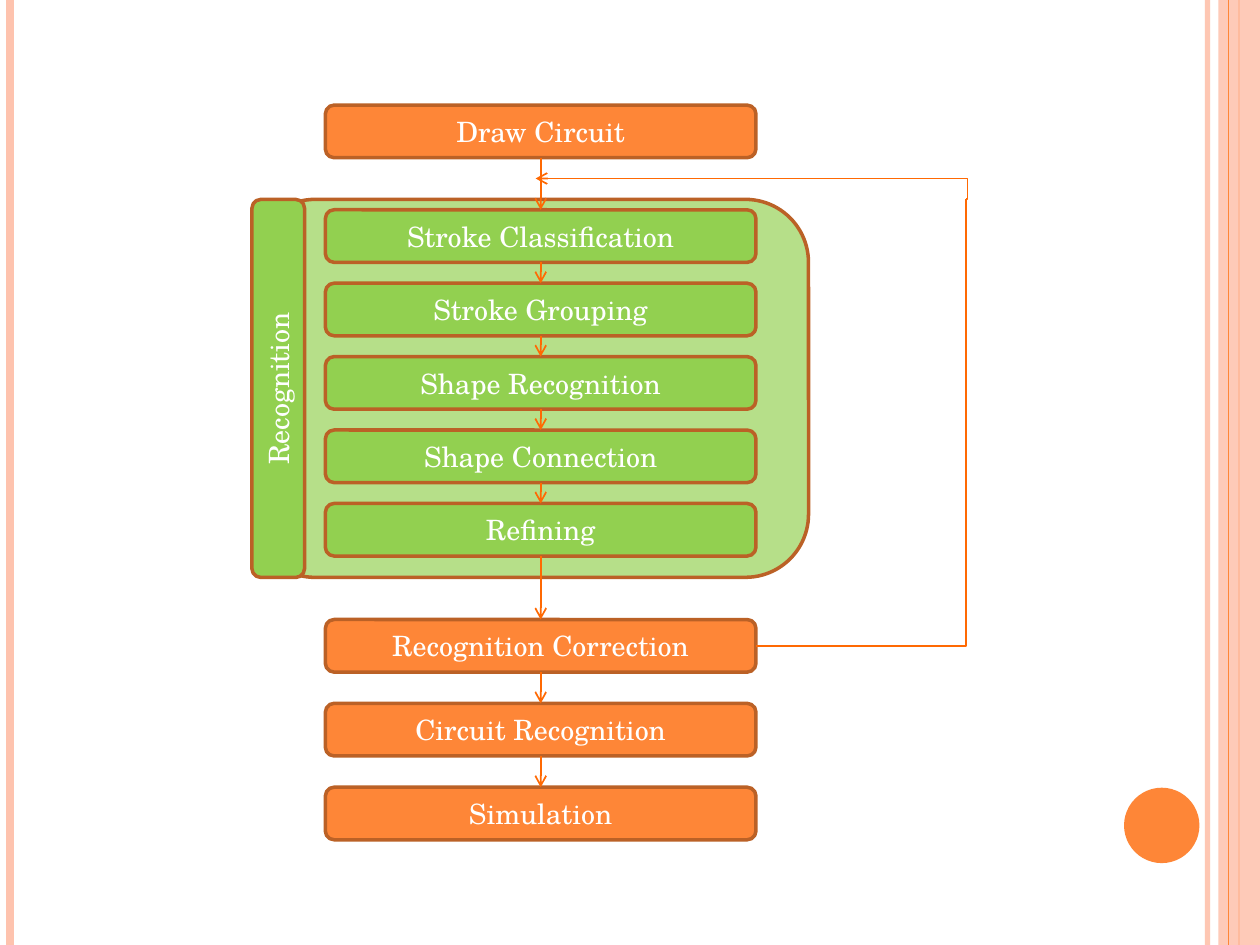
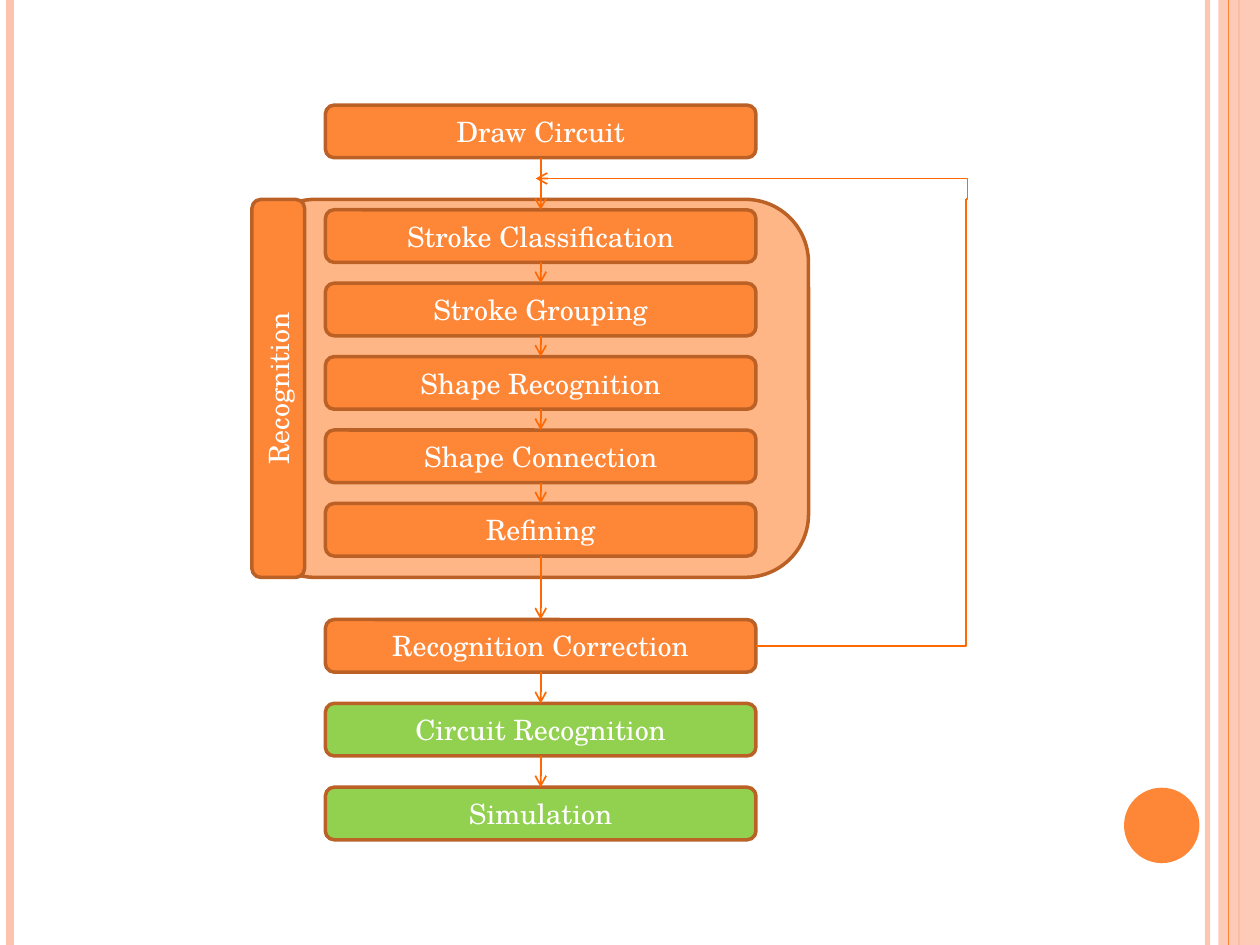
import dataclasses

import lxml.etree
import pptx
import pptx.dml.color
import pptx.enum.shapes
import pptx.enum.text
import pptx.oxml.ns
import pptx.util

Cm = pptx.util.Cm
Pt = pptx.util.Pt
qn = pptx.oxml.ns.qn
SHAPE = pptx.enum.shapes.MSO_SHAPE
CONNECTOR = pptx.enum.shapes.MSO_CONNECTOR

COLORS = {
    "orange": "FE8637",
    "pale_orange": "FEB687",
    "green": "92D050",
    "pale_green": "B6DF89",
    "outline": "BB6126",
    "arrow": "FF6903",
    "band": "FEC3AE",
    "text": "FFFFFF",
}
FONT_FORMAT = {"name": "TeX Gyre Schola", "size": Pt(16)}
FRAME_FORMAT = {"word_wrap": True, "vertical_anchor": pptx.enum.text.MSO_ANCHOR.MIDDLE}

SLIDE_W, SLIDE_H = 25.4, 19.05
BOX_LEFT, BOX_W, BOX_H = 6.56, 8.68, 1.06
PANEL_LEFT, PANEL_TOP, PANEL_W, PANEL_H = 5.08, 4.02, 11.22, 7.62
DRAW_TOP = 2.12
INNER_TOP, INNER_STEP = 4.23, 1.48
OUTER_TOP, OUTER_STEP = 12.49, 1.69
LOOP_X, LOOP_Y, LOOP_END_X = 19.48, 3.6, 10.8

INNER_STEPS = [
    "Stroke Classification",
    "Stroke Grouping",
    "Shape Recognition",
    "Shape Connection",
    "Refining",
]
OUTER_STEPS = ["Recognition Correction", "Circuit Recognition", "Simulation"]


@dataclasses.dataclass
class Rule:
    x: float
    color: str
    width: float
    alpha: int = 100


@dataclasses.dataclass
class Box:
    left: float
    top: float
    width: float
    height: float
    fill: str
    text: str = ""
    rotation: float = 0


@dataclasses.dataclass
class Scheme:
    panel: str
    recognition: str
    final: str


RULES_BELOW = [
    Rule(24.34, "band", 3, 93),
    Rule(0.21, "band", 4.5),
    Rule(24.98, "orange", 1.5),
]
RULE_ABOVE = Rule(24.77, "orange", 0.75)
SCHEMES = [
    Scheme("pale_green", "green", "orange"),
    Scheme("pale_orange", "orange", "green"),
]


def rgb(name: str) -> pptx.dml.color.RGBColor:
    return pptx.dml.color.RGBColor.from_string(COLORS[name])


def apply_format(target, values: dict) -> None:
    for name, value in values.items():
        setattr(target, name, value)


def set_alpha(element, percent: int) -> None:
    color = next(element.iter(qn("a:srgbClr")))
    lxml.etree.SubElement(color, qn("a:alpha"), val=str(percent * 1000))


def add_plain(slide, kind, left: float, top: float, width: float, height: float, fill: str):
    sp = slide.shapes.add_shape(kind, Cm(left), Cm(top), Cm(width), Cm(height))
    sp.shadow.inherit = False
    sp.fill.solid()
    sp.fill.fore_color.rgb = rgb(fill)
    sp.line.fill.background()
    return sp


def add_line(slide, kind, start: tuple, end: tuple, color: str, width: float, arrow: bool = False):
    s = slide.shapes.add_connector(kind, *(Cm(v) for v in start + end))
    s.line.color.rgb = rgb(color)
    s.line.width = Pt(width)
    spPr = s.element.spPr
    if arrow:
        lxml.etree.SubElement(spPr.find(qn("a:ln")), qn("a:tailEnd"), type="arrow")
    lxml.etree.SubElement(spPr, qn("a:effectLst"))
    return s


def add_rule(slide, rule: Rule):
    s = add_line(slide, CONNECTOR.STRAIGHT, (rule.x, 0), (rule.x, SLIDE_H), rule.color, rule.width)
    if rule.alpha < 100:
        set_alpha(s.element.spPr, rule.alpha)
    return s


def decorate_layout(layout, slide) -> None:
    parts = [add_rule(slide, rule) for rule in RULES_BELOW]
    band = add_plain(slide, SHAPE.RECTANGLE, 24.56, 0, 0.84, SLIDE_H, "band")
    set_alpha(band.element.spPr, 87)
    parts += [band, add_rule(slide, RULE_ABOVE)]
    parts.append(add_plain(slide, SHAPE.OVAL, 22.66, 15.88, 1.52, 1.52, "orange"))
    for part in parts:
        layout.shapes.element.append(part.element)


def add_box(slide, box: Box):
    sp = add_plain(slide, SHAPE.ROUNDED_RECTANGLE, box.left, box.top, box.width, box.height, box.fill)
    sp.rotation = box.rotation
    sp.line.color.rgb = rgb("outline")
    sp.line.width = Pt(2)
    if box.text:
        tf = sp.text_frame
        apply_format(tf, FRAME_FORMAT)
        p = tf.paragraphs[0]
        p.alignment = pptx.enum.text.PP_ALIGN.CENTER
        r = p.add_run()
        r.text = box.text
        apply_format(r.font, FONT_FORMAT)
        r.font.color.rgb = rgb("text")
    return sp


def add_step(slide, text: str, top: float, fill: str):
    return add_box(slide, Box(BOX_LEFT, top, BOX_W, BOX_H, fill, text))


def add_loop(slide) -> None:
    corner = (LOOP_X, PANEL_TOP)
    start = (BOX_LEFT + BOX_W, OUTER_TOP + BOX_H / 2)
    rise = add_line(slide, CONNECTOR.ELBOW, start, corner, "arrow", 1)
    rise.element.spPr.find(qn("a:prstGeom")).set("prst", "bentConnector2")
    back = add_line(slide, CONNECTOR.ELBOW, corner, (LOOP_END_X, LOOP_Y), "arrow", 1, True)
    geometry = back.element.spPr.find(qn("a:prstGeom"))
    guides = geometry.find(qn("a:avLst"))
    if guides is None:
        guides = lxml.etree.SubElement(geometry, qn("a:avLst"))
    lxml.etree.SubElement(guides, qn("a:gd"), name="adj1", fmla="val -300")


def draw_flow(slide, scheme: Scheme) -> None:
    add_box(slide, Box(PANEL_LEFT, PANEL_TOP, PANEL_W, PANEL_H, scheme.panel))
    tab_left = PANEL_LEFT + (BOX_H - PANEL_H) / 2
    tab_top = PANEL_TOP + (PANEL_H - BOX_H) / 2
    add_box(slide, Box(tab_left, tab_top, PANEL_H, BOX_H, scheme.recognition, "Recognition", 270))

    steps = [add_step(slide, "Draw Circuit", DRAW_TOP, "orange")]
    for i, text in enumerate(INNER_STEPS):
        steps.append(add_step(slide, text, INNER_TOP + i * INNER_STEP, scheme.recognition))
    for i, text in enumerate(OUTER_STEPS):
        fill = scheme.final if i else "orange"
        steps.append(add_step(slide, text, OUTER_TOP + i * OUTER_STEP, fill))

    for upper, lower in zip(steps, steps[1:]):
        s = add_line(slide, CONNECTOR.STRAIGHT, (0, 0), (0, 0), "arrow", 1, True)
        s.begin_connect(upper, 2)
        s.end_connect(lower, 0)
    add_loop(slide)


def main() -> None:
    prs = pptx.Presentation()
    apply_format(prs, {"slide_width": Cm(SLIDE_W), "slide_height": Cm(SLIDE_H)})
    layout = prs.slide_layouts[6]
    slides = [prs.slides.add_slide(layout) for _ in SCHEMES]
    decorate_layout(layout, slides[0])
    for slide, scheme in zip(slides, SCHEMES):
        draw_flow(slide, scheme)
    prs.save("out.pptx")


if __name__ == "__main__":
    main()
